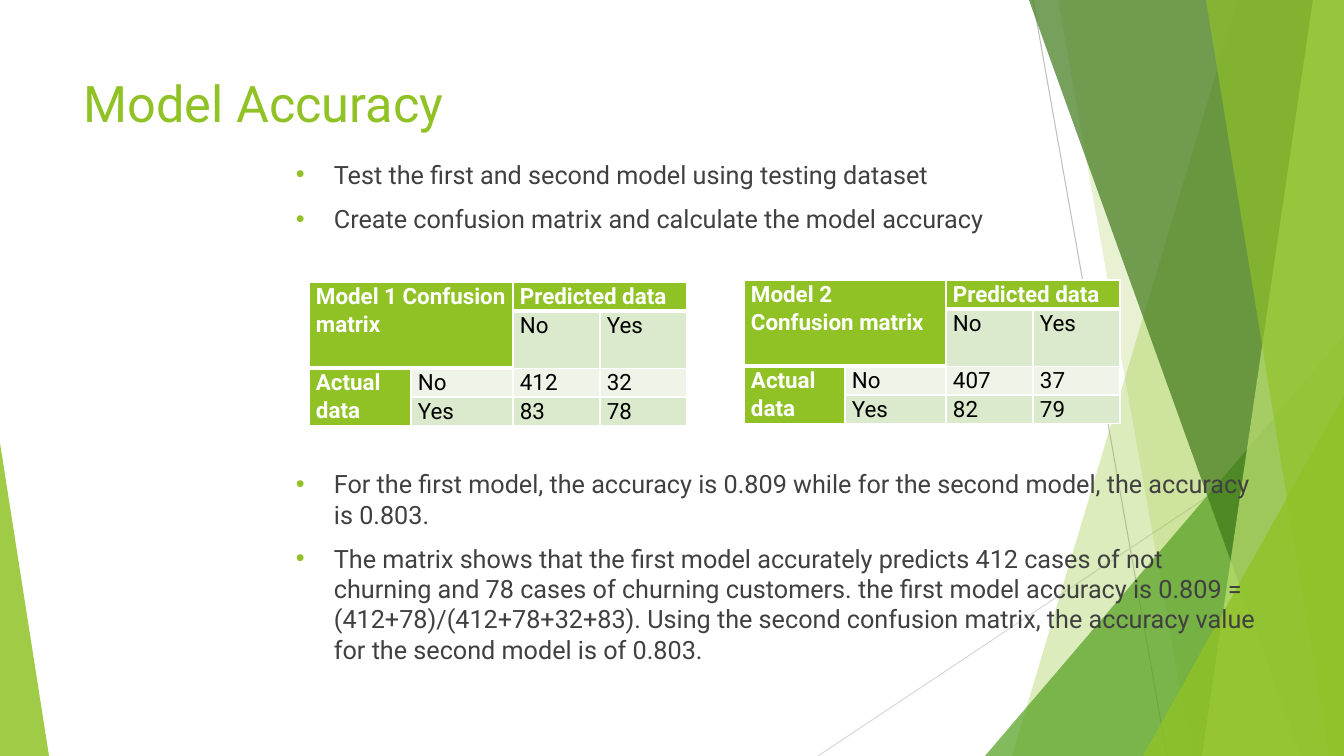
"""Builds the Model Accuracy slide with two confusion matrices."""
from lxml import etree
from pptx import Presentation
from pptx.dml.color import RGBColor
from pptx.enum.shapes import MSO_CONNECTOR, MSO_SHAPE
from pptx.oxml import parse_xml
from pptx.oxml.ns import nsdecls, qn
from pptx.util import Pt

STRAIGHT = MSO_CONNECTOR.STRAIGHT
TRIANGLE = MSO_SHAPE.ISOSCELES_TRIANGLE
PX = 914400 / 100.8
WIDTH, HEIGHT = 1344, 756
FONT = "Roboto"
GREEN, WHITE, BLACK, GREY = "90C226", "FFFFFF", "000000", "404040"
BAND_DARK, BAND_LIGHT = "DBE9CD", "EEF4E8"


def emu(*lengths):
    return [round(length * PX) for length in lengths]


def color(hex_string):
    return RGBColor.from_string(hex_string)


prs = Presentation()
prs.slide_width, prs.slide_height = emu(WIDTH, HEIGHT)
slide = prs.slides.add_slide(prs.slide_layouts[6])
shapes = slide.shapes

for x1, y1, x2, y2, tint in [
    (1033, 0, 1167, HEIGHT, "BFBFBF"),
    (WIDTH, 406, 818, HEIGHT, "D9D9D9"),
]:
    ray = shapes.add_connector(STRAIGHT, *emu(x1, y1, x2, y2))
    ray.line.color.rgb = color(tint)
    ray.line.width = Pt(0.75)
    etree.SubElement(ray._element.spPr, qn("a:effectLst"))

facets = [
    ("band", (1238, 1012), GREEN, 30),
    ("band", (1058, 1192), GREEN, 20),
    ("triangle", (985, 336, 359, 420, 1), "54A021", 72),
    ("band", (1029, 1301), "3F7819", 70),
    ("band", (1313, 1202), "C0E474", 70),
    ("band", (1206, 1329), GREEN, 65),
    ("triangle", (1143, 396, 201, 360, 1), GREEN, 80),
    ("triangle", (0, 443, 49, 313, 0), GREEN, 85),
]
for kind, geometry, tint, opacity in facets:
    if kind == "band":
        top_x, bottom_x = geometry
        outline = shapes.build_freeform(top_x, 0, scale=PX)
        outline.add_line_segments([(WIDTH, 0), (WIDTH, HEIGHT), (bottom_x, HEIGHT)])
        facet = outline.convert_to_shape()
    else:
        *box, apex = geometry
        facet = shapes.add_shape(TRIANGLE, *emu(*box))
        facet.adjustments[0] = apex
    facet.shadow.inherit = False
    facet.line.fill.background()
    facet.fill.solid()
    facet.fill.fore_color.rgb = color(tint)
    rgb = facet._element.spPr.find(qn("a:solidFill"))[0]
    etree.SubElement(rgb, qn("a:alpha"), val=str(opacity * 1000))

title = shapes.add_textbox(*emu(74, 67, 948, 145)).text_frame
title.word_wrap = True
title.text = "Model Accuracy"
title_font = title.paragraphs[0].runs[0].font
title_font.name, title_font.size = FONT, Pt(36)
title_font.color.rgb = color(GREEN)

matrices = [
    ("Model 1", 309, 282, (102, 102, 87, 87), ("412", "32"), ("83", "78")),
    ("Model 2", 744, 280, (101, 101, 87, 87), ("407", "37"), ("82", "79")),
]
row_heights = (26, 56, 28, 28)
headers = {(0, 0), (0, 2), (2, 0)}
for model, left, top, col_widths, actual_no, actual_yes in matrices:
    frame = shapes.add_table(4, 4, *emu(left, top, sum(col_widths), sum(row_heights)))
    matrix = frame.table
    matrix.first_row = matrix.horz_banding = False
    for column, width in zip(matrix.columns, emu(*col_widths)):
        column.width = width
    for row, height in zip(matrix.rows, emu(*row_heights)):
        row.height = height
    matrix.cell(0, 0).merge(matrix.cell(1, 1))
    matrix.cell(0, 2).merge(matrix.cell(0, 3))
    matrix.cell(2, 0).merge(matrix.cell(3, 0))
    content = [
        (f"{model} Confusion matrix", "", "Predicted data", ""),
        ("", "", "No", "Yes"),
        ("Actual data", "No", *actual_no),
        ("", "Yes", *actual_yes),
    ]
    for r, texts in enumerate(content):
        for c, text in enumerate(texts):
            cell = matrix.cell(r, c)
            cell.margin_left, cell.margin_right = emu(7, 7)
            cell.margin_top = cell.margin_bottom = 0
            under_header = r == 0 or (r == 1 and c < 2)
            for side in "LRTB" if r == 0 else "LRB":
                weight = Pt(3 if side == "B" and under_header else 1)
                cell._tc.get_or_add_tcPr().append(parse_xml(
                    f'<a:ln{side} {nsdecls("a")} w="{weight}"><a:solidFill>'
                    f'<a:srgbClr val="{WHITE}"/></a:solidFill></a:ln{side}>'))
            is_header = (r, c) in headers or cell.is_spanned
            cell.fill.solid()
            cell.fill.fore_color.rgb = color(
                GREEN if is_header else BAND_LIGHT if r == 2 else BAND_DARK)
            if not text:
                continue
            cell.text_frame.text = text
            label = cell.text_frame.paragraphs[0]
            label.line_spacing = 1.07
            font = label.runs[0].font
            font.name, font.size, font.bold = FONT, Pt(16), is_header
            font.color.rgb = color(WHITE if is_header else BLACK)

points = [
    ("Test the first and second model using testing dataset", 10),
    ("Create confusion matrix and calculate the model accuracy", 10),
    ("For the first model, the accuracy is 0.809 while for the second model, "
     "the accuracy is 0.803.", 168),
    ("The matrix shows that the first model accurately predicts 412 cases of not "
     "churning and 78 cases of churning customers. the first model accuracy is "
     "0.809 = (412+78)/(412+78+32+83). Using the second confusion matrix, the "
     "accuracy value for the second model is of 0.803.", 10),
]
body = shapes.add_textbox(*emu(286, 154, 983, 544)).text_frame
body.word_wrap = True
body.text = "\n".join(text for text, gap in points)
indent = emu(38)[0]
for point, (text, gap) in zip(body.paragraphs, points):
    point.space_before = Pt(gap)
    font = point.runs[0].font
    font.name, font.size = FONT, Pt(18)
    font.color.rgb = color(GREY)
    props = point._p.get_or_add_pPr()
    props.set("marL", str(indent))
    props.set("indent", str(-indent))
    bullet_color = etree.SubElement(props, qn("a:buClr"))
    etree.SubElement(bullet_color, qn("a:srgbClr"), val=GREEN)
    etree.SubElement(props, qn("a:buFont"), typeface="Arial")
    etree.SubElement(props, qn("a:buChar"), char="•")

prs.save("out.pptx")
